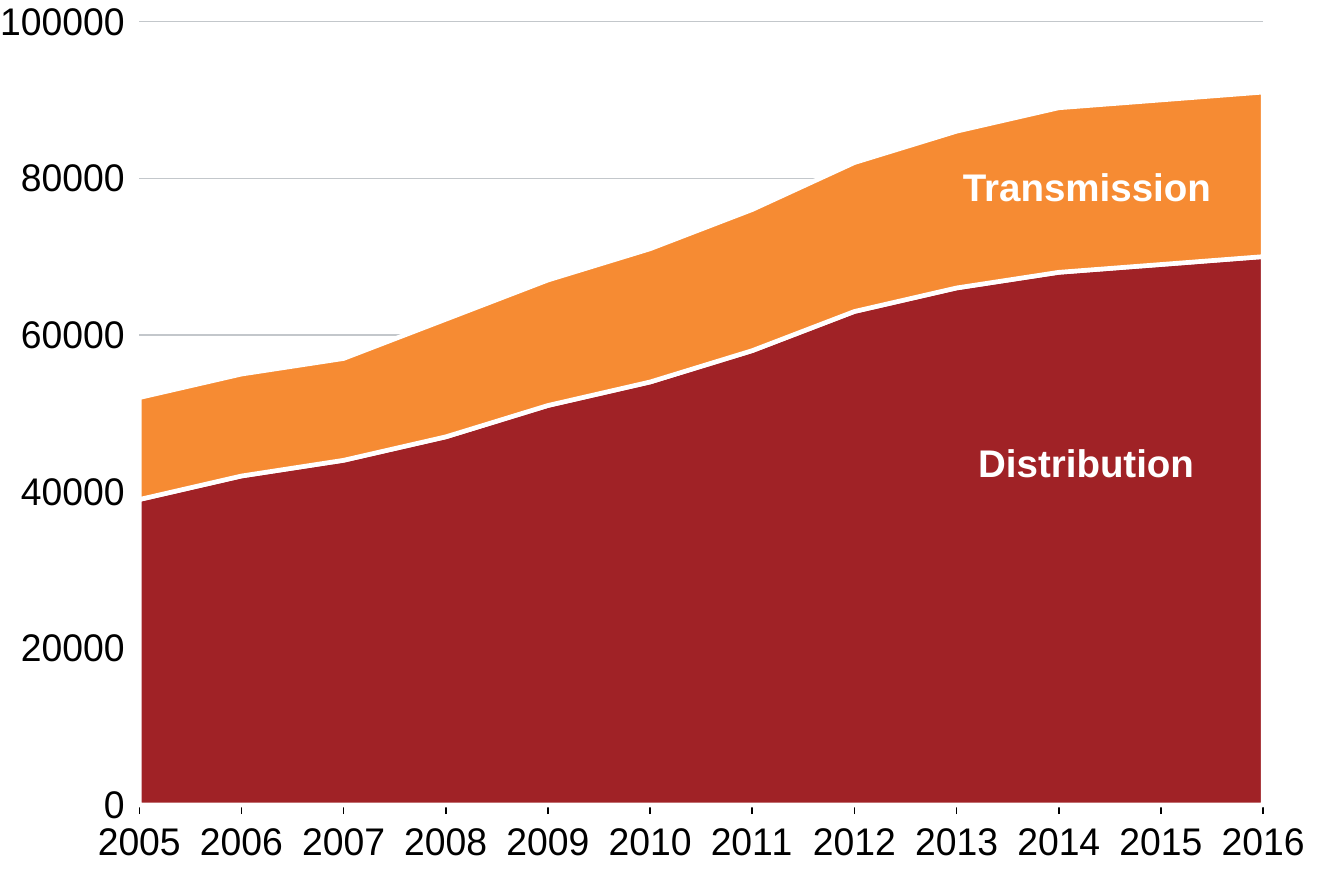
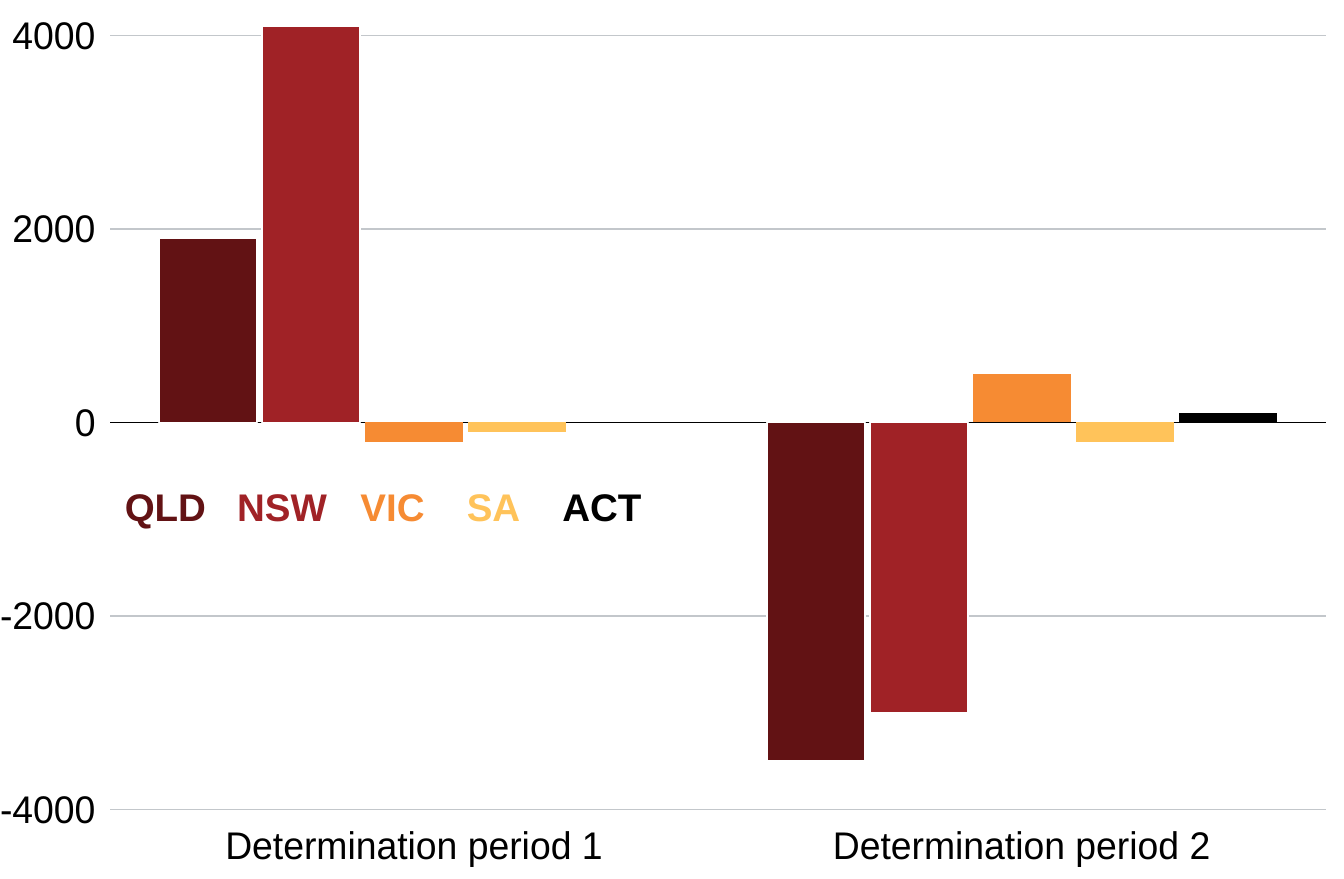
from lxml import etree
from pptx import Presentation
from pptx.chart.data import CategoryChartData
from pptx.dml.color import RGBColor
from pptx.enum.chart import XL_CHART_TYPE, XL_TICK_LABEL_POSITION, XL_TICK_MARK
from pptx.enum.text import MSO_AUTO_SIZE
from pptx.oxml.ns import qn
from pptx.util import Cm, Inches, Pt

AREA, COLUMN = XL_CHART_TYPE.AREA_STACKED, XL_CHART_TYPE.COLUMN_CLUSTERED
OUTSIDE, NO_TICK = XL_TICK_MARK.OUTSIDE, XL_TICK_MARK.NONE
LOW = XL_TICK_LABEL_POSITION.LOW
FIT_SHAPE = MSO_AUTO_SIZE.SHAPE_TO_FIT_TEXT

WIDTH, HEIGHT = Cm(22.16), Cm(14.5)
FONT, SIZE = "Arial", 18
COLORS = {
    "maroon": "621214", "red": "A02226", "orange": "F68B33", "yellow": "FFC35A",
    "black": "000000", "white": "FFFFFF", "grid": "C3C7CB",
}

NETWORK = {
    "type": AREA,
    "categories": [str(year) for year in range(2005, 2017)],
    # colour, outline width, values
    "series": [
        ("red", 2.25, [39000, 42000, 44000, 47000, 51000, 54000,
                       58000, 63000, 66000, 68000, 69000, 70000]),
        ("orange", 2.25, [13000, 13000, 13000, 15000, 16000, 17000,
                          18000, 19000, 20000, 21000, 21000, 21000]),
    ],
    "scale": (0, 100000, 20000),
    "format": "General",
    "plot": (0.075, 0.024, 0.863, 0.892),
}
AREA_LABELS = [("Distribution", 6.35, 2.85, 1.46), ("Transmission", 6.25, 1.06, 1.65)]

PERIODS = {
    "type": COLUMN,
    "categories": ["Determination period 1", "Determination period 2"],
    "series": [
        ("maroon", 0.75, [1900, -3500]),
        ("red", 0.75, [4100, -3000]),
        ("orange", None, [-200, 500]),
        ("yellow", None, [-100, -200]),
        ("black", None, [0, 100]),
    ],
    "scale": (-4000, 4150, 2000),
    "format": "0",
    "plot": (0.053, 0.024, 0.933, 0.897),
}
STATES = ["QLD", "NSW", "VIC", "SA", "ACT"]
STATE_TABS = [0.73, 1.53, 2.22, 2.84]


def rgb(name):
    return RGBColor.from_string(COLORS[name])


def style_line(line, color, width):
    line.color.rgb = rgb(color)
    line.width = Pt(width)


def set_plot_layout(plot_area, shares):
    """Fix the inner plot area at x, y, w, h shares of the chart."""
    for old in plot_area.findall(qn("c:layout")):
        plot_area.remove(old)
    layout = etree.Element(qn("c:layout"))
    manual = etree.SubElement(layout, qn("c:manualLayout"))
    settings = [("layoutTarget", "inner"), ("xMode", "edge"), ("yMode", "edge")]
    for tag, value in settings + list(zip("xywh", shares)):
        etree.SubElement(manual, qn(f"c:{tag}")).set("val", str(value))
    plot_area.insert(0, layout)


def add_chart(s, content):
    data = CategoryChartData()
    data.categories = content["categories"]
    for number, (_, _, values) in enumerate(content["series"], 1):
        data.add_series(f"Series {number}", values)
    chart = s.shapes.add_chart(content["type"], 0, 0, WIDTH, HEIGHT, data).chart
    chart.has_legend = chart.has_title = False
    chart.font.name, chart.font.size = FONT, Pt(SIZE)
    chart.font.color.rgb = rgb("black")
    plot = chart.plots[0]
    plot.vary_by_categories = False
    for series, (color, outline, _) in zip(plot.series, content["series"]):
        series.format.fill.solid()
        series.format.fill.fore_color.rgb = rgb(color)
        if outline:
            style_line(series.format.line, "white", outline)
        else:
            series.format.line.fill.background()

    cat, val = chart.category_axis, chart.value_axis
    cat.has_major_gridlines = False
    cat.major_tick_mark, cat.minor_tick_mark = OUTSIDE, NO_TICK
    style_line(cat.format.line, "black", 0.75)
    val.minimum_scale, val.maximum_scale, val.major_unit = content["scale"]
    val.major_tick_mark, val.minor_tick_mark = OUTSIDE, NO_TICK
    val.tick_labels.number_format = content["format"]
    val.tick_labels.number_format_is_linked = False
    val.format.line.fill.background()
    val.has_major_gridlines = True
    style_line(val.major_gridlines.format.line, "grid", 0.75)
    set_plot_layout(chart.element.find(f".//{qn('c:plotArea')}"), content["plot"])
    return chart


def add_label(s, left, top, width, runs):
    """Add a bold text box from (text, colour) runs and return its paragraph."""
    tf = s.shapes.add_textbox(Inches(left), Inches(top), Inches(width),
                              Inches(0.3)).text_frame
    tf.margin_left = tf.margin_right = tf.margin_top = tf.margin_bottom = 0
    tf.word_wrap, tf.auto_size = True, FIT_SHAPE
    p = tf.paragraphs[0]
    for text, color in runs:
        r = p.add_run()
        r.text = text
        r.font.name, r.font.size, r.font.bold = FONT, Pt(SIZE), True
        r.font.color.rgb = rgb(color)
    return p


def add_tab_stops(p, stops):
    tabs = etree.SubElement(p._p.get_or_add_pPr(), qn("a:tabLst"))
    for stop in stops:
        etree.SubElement(tabs, qn("a:tab"), pos=str(Inches(stop)), algn="l")


def build_network_slide(s):
    chart = add_chart(s, NETWORK)
    chart.value_axis._element.find(qn("c:crossBetween")).set("val", "midCat")
    for text, left, top, width in AREA_LABELS:
        add_label(s, left, top, width, [(text, "white")])


def build_periods_slide(s):
    chart = add_chart(s, PERIODS)
    chart.category_axis.major_tick_mark = NO_TICK
    chart.category_axis.tick_label_position = LOW
    plot = chart.plots[0]
    plot.gap_width, plot.overlap = 100, -5
    for series in plot.series:
        series.invert_if_negative = False
    colors = [color for color, _, _ in PERIODS["series"]]
    runs = [("\t" * (i > 0) + state, color)
            for i, (state, color) in enumerate(zip(STATES, colors))]
    p = add_label(s, 0.81, 3.17, 3.39, runs)
    p.line_spacing = 0.9
    add_tab_stops(p, STATE_TABS)


def main():
    prs = Presentation()
    prs.slide_width, prs.slide_height = WIDTH, HEIGHT
    for build in (build_network_slide, build_periods_slide):
        build(prs.slides.add_slide(prs.slide_layouts[6]))
    prs.save("out.pptx")


if __name__ == "__main__":
    main()
